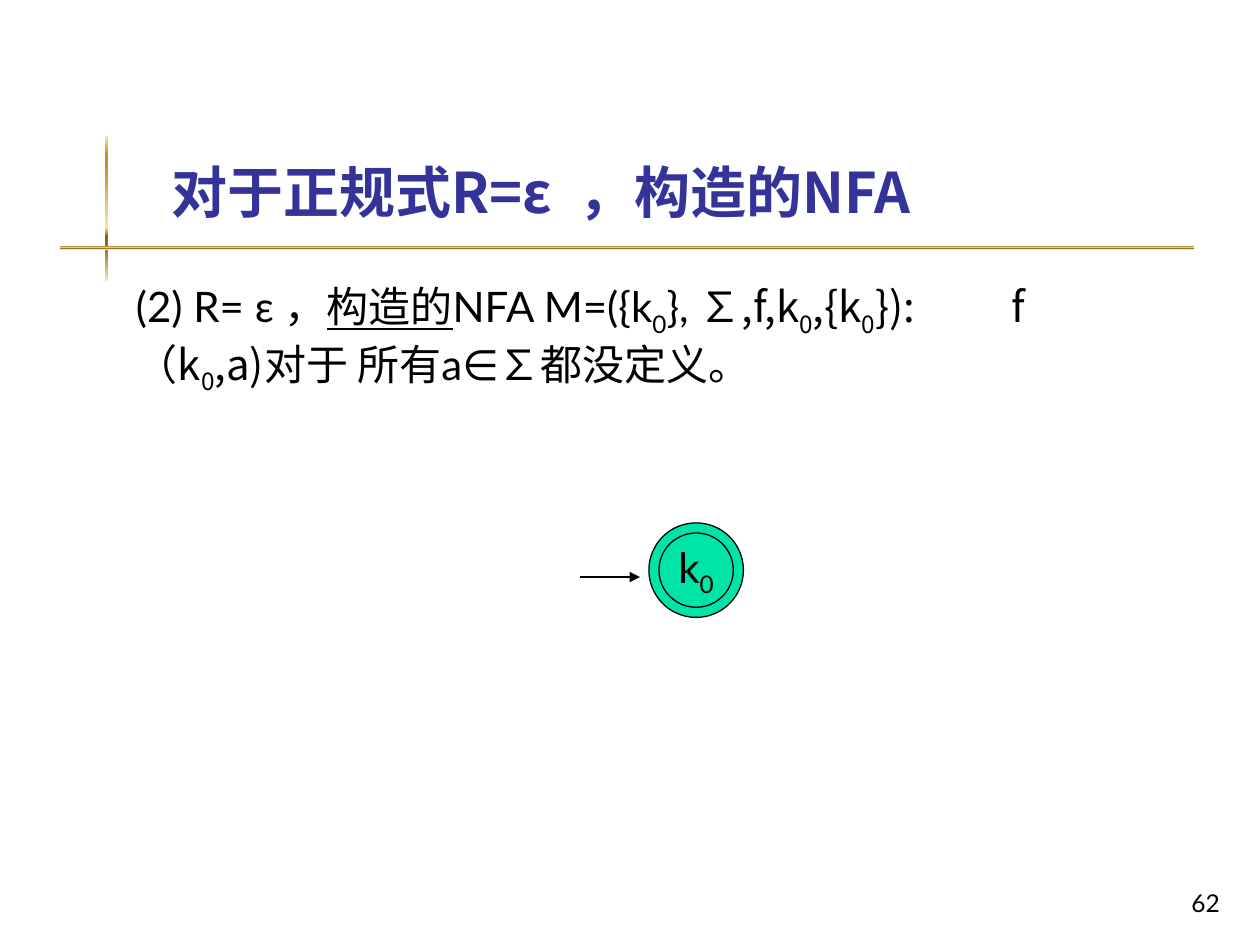
from dataclasses import dataclass

from lxml.etree import SubElement
from pptx import Presentation
from pptx.dml.color import RGBColor
from pptx.enum.shapes import MSO_CONNECTOR, MSO_SHAPE
from pptx.enum.text import MSO_ANCHOR, PP_ALIGN
from pptx.oxml.ns import qn
from pptx.util import Inches, Pt

LATIN, CJK, TITLE_FONT = "Lato", "Noto Sans CJK SC", "Noto Sans CJK JP"
BLACK, BLUE, GREEN = "000000", "333399", "00E4A8"
GOLD_STOPS = [
    (0, "FBE4AE"), (13, "BD922A"), (21, "BD922A"), (63, "FBE4AE"),
    (67, "BD922A"), (69, "835E17"), (82, "A28949"), (100, "FAE3B7"),
]


@dataclass
class Box:
    left: float
    top: float
    width: float
    height: float

    def lengths(self) -> list:
        return [Inches(v) for v in (self.left, self.top, self.width, self.height)]


@dataclass
class Piece:
    text: str
    font: str = LATIN
    subscript: bool = False
    underline: bool = False


def color(value: str) -> RGBColor:
    return RGBColor.from_string(value)


def add_run(paragraph, piece: Piece, size: float, fill: str = BLACK,
            east_asian: str = CJK, bold: bool = False) -> None:
    run = paragraph.add_run()
    run.text = piece.text
    run.font.size = Pt(size)
    run.font.name = piece.font
    run.font.bold = bold
    run.font.color.rgb = color(fill)
    if piece.underline:
        run.font.underline = True
    properties = run._r.get_or_add_rPr()
    if piece.subscript:
        properties.set("baseline", "-25000")
    SubElement(properties, qn("a:ea")).set("typeface", east_asian)


def add_gold_bar(slide, box: Box) -> None:
    bar = slide.shapes.add_shape(MSO_SHAPE.RECTANGLE, *box.lengths())
    bar.shadow.inherit = False
    bar.line.fill.background()
    bar.fill.gradient()
    gradient = bar._element.spPr.find(qn("a:gradFill"))
    stops = gradient.find(qn("a:gsLst"))
    for stop in list(stops):
        stops.remove(stop)
    for position, value in GOLD_STOPS:
        stop = SubElement(stops, qn("a:gs"), pos=str(position * 1000))
        SubElement(stop, qn("a:srgbClr"), val=value)
    gradient.find(qn("a:lin")).set("ang", "5400000")


def add_circle(shapes, box: Box):
    circle = shapes.add_shape(MSO_SHAPE.OVAL, *box.lengths())
    circle.shadow.inherit = False
    circle.fill.solid()
    circle.fill.fore_color.rgb = color(GREEN)
    circle.line.color.rgb = color(BLACK)
    circle.line.width = Pt(0.75)
    return circle


def add_accepting_state(slide, box: Box, ring: float, label: list[Piece]) -> None:
    """Draw a double circle with its label in the inner one."""
    group = slide.shapes.add_group_shape()
    add_circle(group.shapes, box)
    inner = add_circle(group.shapes, Box(box.left + ring, box.top + ring,
                                         box.width - 2 * ring, box.height - 2 * ring))
    frame = inner.text_frame
    frame.word_wrap = False
    frame.vertical_anchor = MSO_ANCHOR.MIDDLE
    paragraph = frame.paragraphs[0]
    paragraph.alignment = PP_ALIGN.CENTER
    for piece in label:
        add_run(paragraph, piece, 24)


def add_arrow(slide, left: float, right: float, y: float) -> None:
    arrow = slide.shapes.add_connector(MSO_CONNECTOR.STRAIGHT, Inches(left), Inches(y),
                                       Inches(right), Inches(y))
    arrow.line.color.rgb = color(BLACK)
    arrow.line.width = Pt(0.75)
    SubElement(arrow.line._get_or_add_ln(), qn("a:tailEnd"), type="triangle")
    SubElement(arrow._element.spPr, qn("a:effectLst"))


def add_text(slide, box: Box, pieces: list[Piece], size: float):
    text_box = slide.shapes.add_textbox(*box.lengths())
    text_box.text_frame.word_wrap = True
    paragraph = text_box.text_frame.paragraphs[0]
    for piece in pieces:
        add_run(paragraph, piece, size)
    return text_box.text_frame


def add_tab_stop(paragraph, position: float) -> None:
    tabs = SubElement(paragraph._p.get_or_add_pPr(), qn("a:tabLst"))
    SubElement(tabs, qn("a:tab"), pos=str(Inches(position)), algn="l")


def add_title(slide, box: Box, text: str) -> None:
    title = slide.shapes.title
    title.left, title.top, title.width, title.height = box.lengths()
    title.text_frame.vertical_anchor = MSO_ANCHOR.BOTTOM
    paragraph = title.text_frame.paragraphs[0]
    paragraph.alignment = PP_ALIGN.LEFT
    add_run(paragraph, Piece(text, TITLE_FONT), 32, BLUE, TITLE_FONT, bold=True)


def main() -> None:
    presentation = Presentation()
    presentation.slide_width, presentation.slide_height = Inches(10), Inches(7.5)
    slide = presentation.slides.add_slide(presentation.slide_layouts[5])

    add_gold_bar(slide, Box(0.83, 1.08, 0.03, 1.15))
    add_gold_bar(slide, Box(0.48, 1.95, 9, 0.03))
    add_title(slide, Box(1.26, 0.23, 8.52, 1.6), "对于正规式R=ε  ，构造的NFA")

    number = add_text(slide, Box(7.7, 6.83, 2.08, 0.5), [Piece("62")], 14)
    number.vertical_anchor = MSO_ANCHOR.BOTTOM
    number.paragraphs[0].alignment = PP_ALIGN.RIGHT

    zero, cjk_zero = Piece("0", subscript=True), Piece("0", CJK, subscript=True)
    add_accepting_state(slide, Box(5.15, 4.15, 0.75, 0.75), 0.08, [Piece("k"), zero])

    definition = add_text(slide, Box(0.98, 2.18, 8.19, 0.91), [
        Piece("(2) R= ε ，"), Piece("构造的", underline=True), Piece("NFA M=({k"), zero,
        Piece("}, "), Piece("∑,f,k", CJK), cjk_zero, Piece(",{k", CJK), cjk_zero,
        Piece("}):\tf（k", CJK), cjk_zero, Piece(",a)对于", CJK),
        Piece(" 所有a∈"), Piece("∑都没定义。", CJK),
    ], 24)
    add_tab_stop(definition.paragraphs[0], 6.95)

    add_arrow(slide, 4.6, 5.08, 4.58)
    presentation.save("out.pptx")


if __name__ == "__main__":
    main()
